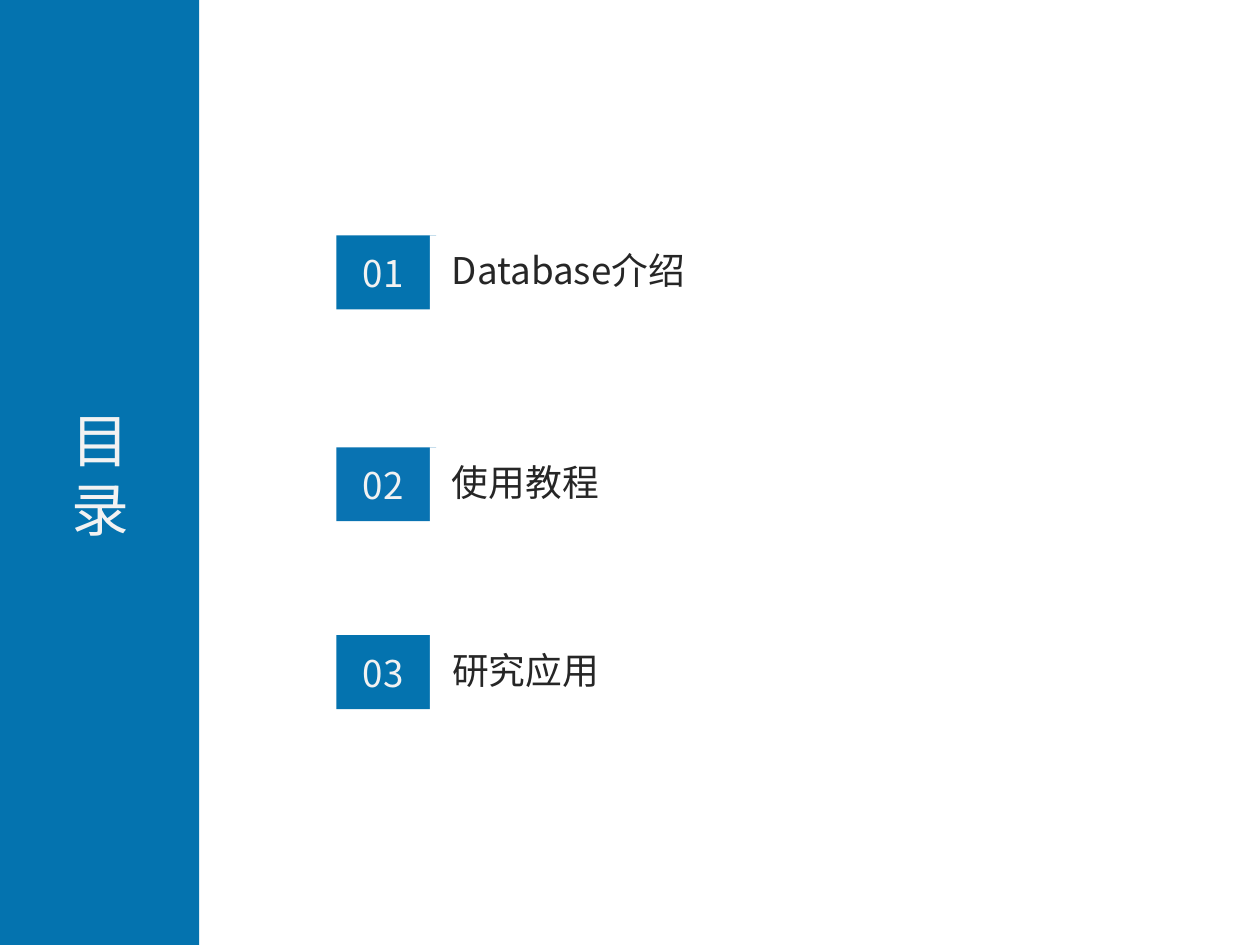
from pptx import Presentation
from pptx.dml.color import RGBColor
from pptx.enum.shapes import MSO_SHAPE
from pptx.enum.text import MSO_AUTO_SIZE, PP_ALIGN
from pptx.oxml.ns import qn
from pptx.util import Pt

RECTANGLE = MSO_SHAPE.RECTANGLE
LEFT, CENTER = PP_ALIGN.LEFT, PP_ALIGN.CENTER
GROW = MSO_AUTO_SIZE.SHAPE_TO_FIT_TEXT
TYPEFACE = "Noto Sans CJK SC"
BLUE, LIGHT_BLUE, WHITE = "0473AF", "0973B2", "FFFFFF"
PALE, DARK = "F2F2F2", "262626"
SECTIONS = [
    ("01", "Database介绍", 134.6, BLUE, 293),
    ("02", "使用教程", 255.6, LIGHT_BLUE, 293),
    ("03", "研究应用", 363, BLUE, 378),
]


def color(value):
    """Turn a hex string into a colour."""
    return RGBColor.from_string(value)


def add_block(shapes, box, fill):
    """Add a plain filled rectangle."""
    block = shapes.add_shape(RECTANGLE, *map(Pt, box))
    block.shadow.inherit = False
    block.fill.solid()
    block.fill.fore_color.rgb = color(fill)
    block.line.fill.background()


def add_text(shapes, box, lines, size, ink, align=LEFT, wrap=True):
    """Add a text box with one paragraph for each line."""
    frame = shapes.add_textbox(*map(Pt, box)).text_frame
    for name, value in {"word_wrap": wrap, "auto_size": GROW}.items():
        setattr(frame, name, value)
    frame.text = "\n".join(lines)
    for paragraph in frame.paragraphs:
        paragraph.alignment = align
        for run in paragraph.runs:
            for name, value in {"size": Pt(size), "name": TYPEFACE}.items():
                setattr(run.font, name, value)
            run.font.color.rgb = color(ink)
            east_asian = run.font._element.makeelement(qn("a:ea"), {"typeface": TYPEFACE})
            run.font._element.append(east_asian)


def add_sidebar(slide, left, top, width, height):
    """Add the blue side band with its stacked title."""
    add_block(slide.shapes, (left, top, width, height), BLUE)
    title_box = (left + 33.8, top + 227.5, 47.5, 87)
    add_text(slide.shapes, title_box, ["目", "录"], 33, PALE, wrap=False)


def add_section(slide, left, top, number, heading, fill, heading_width):
    """Add one contents row: number tile, panel and heading."""
    row = slide.shapes.add_group_shape().shapes
    add_block(row, (left, top, 57, 42.3), fill)
    add_text(row, (left, top + 5.3, 53.5, 32.4), [number], 21, PALE, CENTER)
    add_block(row, (left + 53.5, top, 298, 44), WHITE)
    heading_box = (left + 59, top + 3.4, heading_width, 32.4)
    add_text(row, heading_box, [heading], 21, DARK)


def main():
    """Build the contents slide."""
    deck = Presentation()
    deck.slide_width, deck.slide_height = Pt(720), Pt(540)
    slide = deck.slides.add_slide(deck.slide_layouts[6])
    add_sidebar(slide, 0, 0, 113.8, 540)
    for number, heading, top, fill, heading_width in SECTIONS:
        add_section(slide, 192.2, top, number, heading, fill, heading_width)
    deck.save("out.pptx")


if __name__ == "__main__":
    main()
